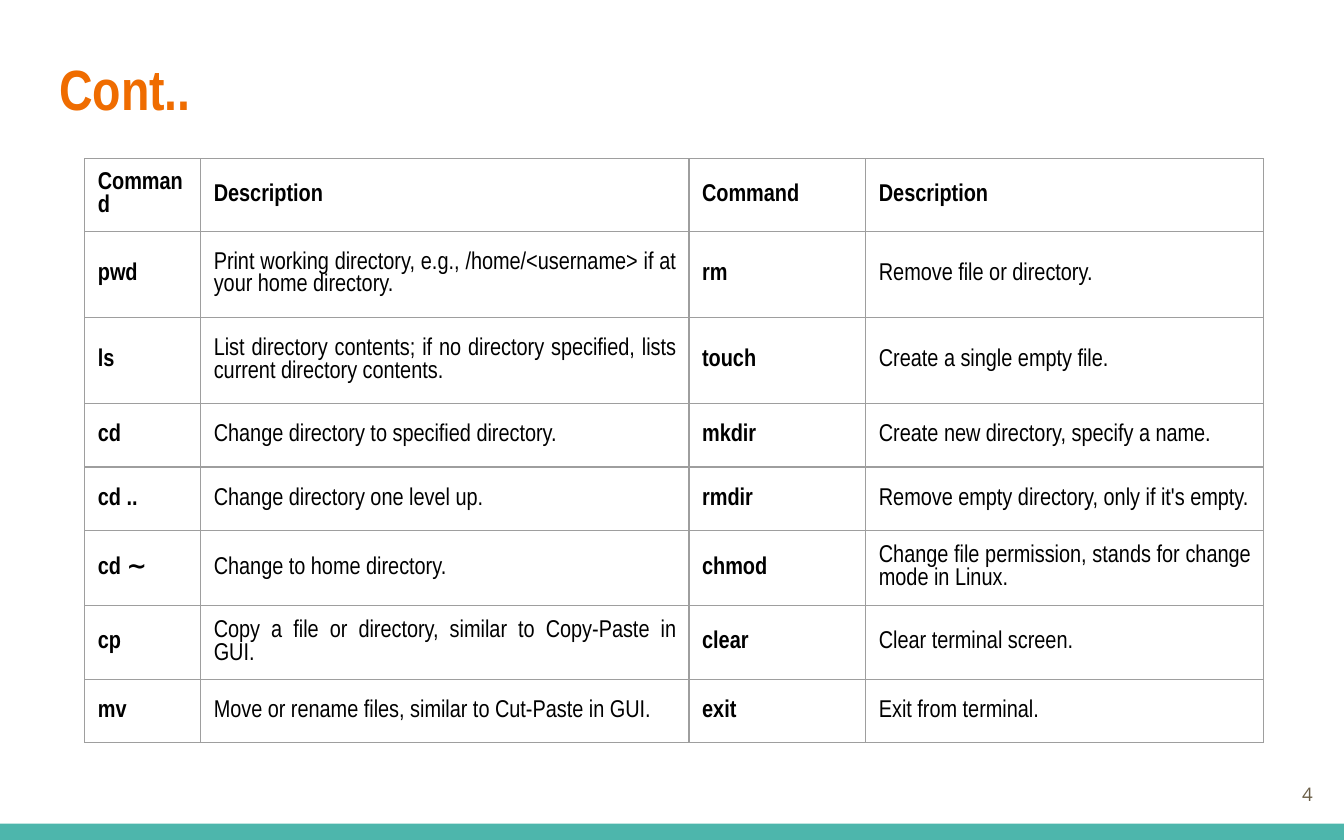
from lxml.etree import SubElement
from pptx import Presentation
from pptx.dml.color import RGBColor
from pptx.enum.shapes import MSO_SHAPE
from pptx.enum.text import MSO_ANCHOR, PP_ALIGN
from pptx.oxml.ns import qn
from pptx.util import Cm, Pt

COLUMN_WIDTHS = [2.19, 9.23, 3.34, 7.52]
ROW_HEIGHTS = [1.37, 1.63, 1.63, 1.2, 1.2, 1.42, 1.39, 1.2]
COMMANDS = [
    ("Command", "Description", "Command", "Description"),
    ("pwd", "Print working directory, e.g., /home/<username> if at your home directory.",
     "rm", "Remove file or directory."),
    ("ls", "List directory contents; if no directory specified, lists current directory contents.",
     "touch", "Create a single empty file."),
    ("cd", "Change directory to specified directory.",
     "mkdir", "Create new directory, specify a name."),
    ("cd ..", "Change directory one level up.",
     "rmdir", "Remove empty directory, only if it's empty."),
    ("cd ∼", "Change to home directory.",
     "chmod", "Change file permission, stands for change mode in Linux."),
    ("cp", "Copy a file or directory, similar to Copy-Paste in GUI.",
     "clear", "Clear terminal screen."),
    ("mv", "Move or rename files, similar to Cut-Paste in GUI.",
     "exit", "Exit from terminal."),
]


def rgb(color):
    return RGBColor.from_string(color)


def write(frame, layout, text, size, font, color, bold, align, inset=0.25):
    """Write one paragraph; layout is what holds margins and anchor: the frame or the cell."""
    frame.word_wrap = True
    frame.text = text
    layout.margin_left = layout.margin_right = Cm(0.25)
    layout.margin_top = layout.margin_bottom = Cm(inset)
    layout.vertical_anchor = MSO_ANCHOR.MIDDLE
    paragraph = frame.paragraphs[0]
    paragraph.alignment = align
    paragraph.line_spacing = 1.0
    style = paragraph.runs[0].font
    style.size = Pt(size)
    style.name = font
    style.bold = bold
    style.color.rgb = rgb(color)


presentation = Presentation()
presentation.slide_width = Cm(25.4)
presentation.slide_height = Cm(15.88)
slide = presentation.slides.add_slide(presentation.slide_layouts[6])

footer_band = slide.shapes.add_shape(
    MSO_SHAPE.RECTANGLE, 0, Cm(15.57), Cm(25.4), Cm(0.31))
footer_band.shadow.inherit = False
footer_band.fill.solid()
footer_band.fill.fore_color.rgb = rgb("4DB6AC")
footer_band.line.fill.background()

title = slide.shapes.add_textbox(Cm(0.87), Cm(0.77), Cm(23.67), Cm(1.8)).text_frame
write(title, title, "Cont..", 30.4, "Arial Narrow", "EF6C00", True, PP_ALIGN.LEFT)

page_number = slide.shapes.add_textbox(Cm(23.54), Cm(14.41), Cm(1.52), Cm(1.22)).text_frame
write(page_number, page_number, "4", 10, "Open Sans", "695D46", False, PP_ALIGN.RIGHT)

command_table = slide.shapes.add_table(
    len(COMMANDS), len(COLUMN_WIDTHS), Cm(1.6), Cm(3),
    Cm(sum(COLUMN_WIDTHS)), Cm(sum(ROW_HEIGHTS))).table
command_table.horz_banding = False
for column, width in zip(command_table.columns, COLUMN_WIDTHS):
    column.width = Cm(width)
for row, height in zip(command_table.rows, ROW_HEIGHTS):
    row.height = Cm(height)

for row_index, entries in enumerate(COMMANDS):
    for column_index, entry in enumerate(entries):
        cell = command_table.cell(row_index, column_index)
        is_bold = row_index == 0 or column_index % 2 == 0
        # A small vertical inset keeps two-line rows at their set height.
        write(cell.text_frame, cell, entry, 13, "Arial Narrow", "000000",
              is_bold, PP_ALIGN.JUSTIFY, inset=0.05)
        properties = cell._tc.get_or_add_tcPr()
        for side in ("a:lnL", "a:lnR", "a:lnT", "a:lnB"):
            border = SubElement(properties, qn(side), w=str(Pt(0.75)))
            border_fill = SubElement(border, qn("a:solidFill"))
            SubElement(border_fill, qn("a:srgbClr"), val="9E9E9E")
        cell.fill.background()

presentation.save("out.pptx")
